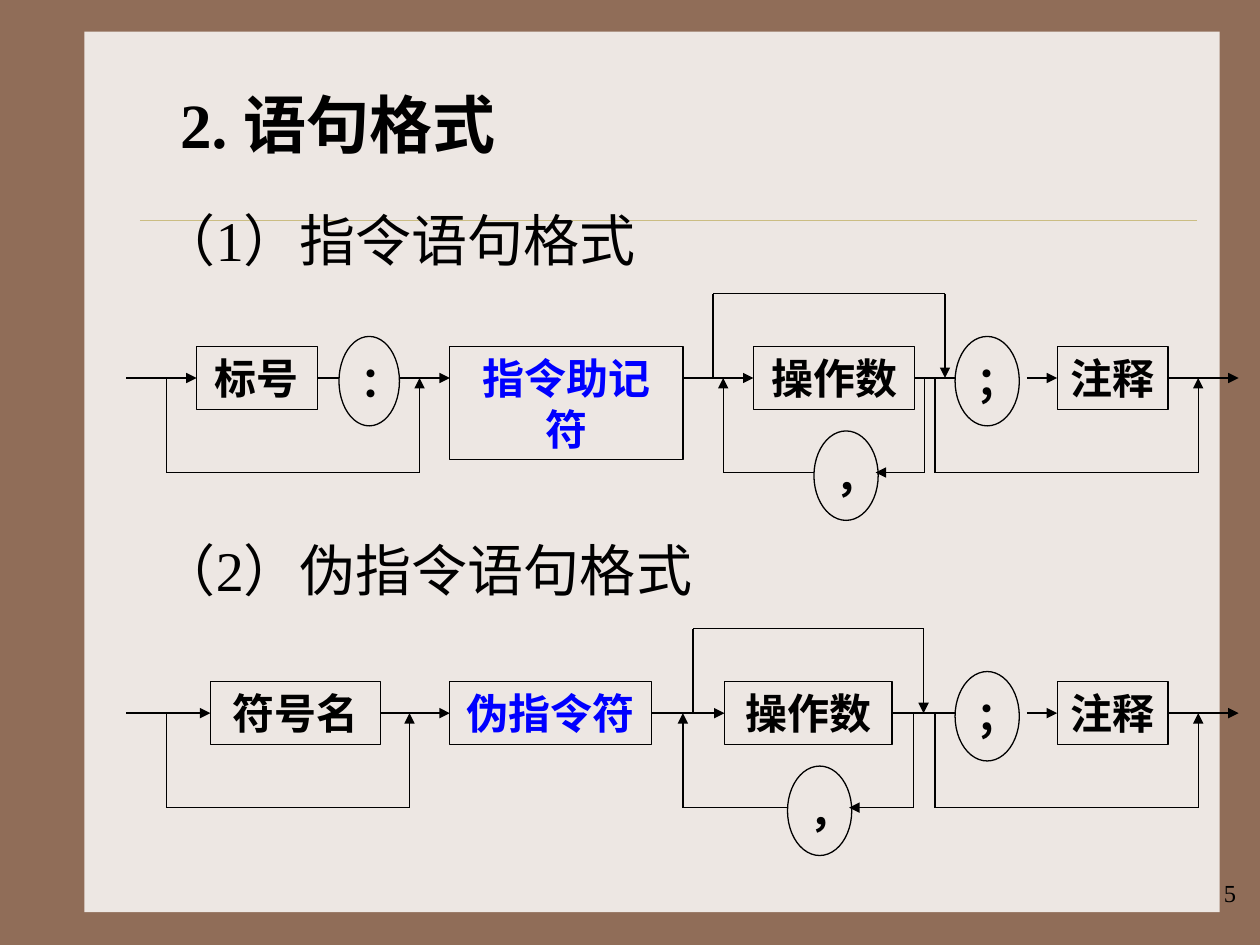
from itertools import pairwise

from pptx import Presentation, util as u
from pptx.dml import color
from pptx.enum import shapes, text
from pptx.oxml import ns, xmlchemy as xc

CELL = u.Inches(0.1)
BOX = shapes.MSO_SHAPE.RECTANGLE
OVAL = shapes.MSO_SHAPE.OVAL
LEFT, MID, RIGHT = text.PP_ALIGN.LEFT, text.PP_ALIGN.CENTER, text.PP_ALIGN.RIGHT


def grid(*vals):
    """Turn columns and rows of the 100 by 75 grid into lengths."""
    return [u.Emu(round(v * CELL)) for v in vals]


def rgb(code):
    """Return the colour for a hex string."""
    return color.RGBColor.from_string(code)


def write(item, words, size=24, bold=False, ink="000000", align=LEFT,
          anchor=text.MSO_ANCHOR.TOP):
    """Put formatted text into a shape."""
    frame = item.text_frame
    frame.word_wrap = True
    frame.auto_size = text.MSO_AUTO_SIZE.NONE
    frame.vertical_anchor = anchor
    para = frame.paragraphs[0]
    para.alignment = align
    run = para.add_run()
    run.text = words
    font = run.font
    font.name, font.size, font.bold = "Times New Roman", u.Pt(size), bold
    font.color.rgb = rgb(ink)


def label(slide, area, words, **style):
    """Add a plain text box."""
    write(slide.shapes.add_textbox(*grid(*area)), words, **style)


def node(slide, kind, area, words, ink="000000"):
    """Add an outlined box or oval of the syntax chart."""
    item = slide.shapes.add_shape(kind, *grid(*area))
    item.shadow.inherit = False
    item.fill.background()
    item.line.color.rgb = rgb("000000")
    item.line.width = u.Pt(0.75)
    write(item, words, bold=True, ink=ink, align=MID)
    return item


def line(slide, start, end, arrow=False, ink="000000", width=0.75):
    """Add a straight line, with an arrowhead at its end if asked."""
    wire = slide.shapes.add_connector(
        shapes.MSO_CONNECTOR.STRAIGHT, *grid(*start, *end))
    wire.line.color.rgb = rgb(ink)
    wire.line.width = u.Pt(width)
    if arrow:
        tip = xc.OxmlElement("a:tailEnd")
        tip.set("type", "triangle")
        wire.line._get_or_add_ln().append(tip)
    props = wire._element.find(ns.qn("p:spPr"))
    props.append(xc.OxmlElement("a:effectLst"))
    return wire


def route(slide, *points, arrow=True):
    """Draw a bent path whose last leg may carry the arrowhead."""
    legs = list(pairwise(points))
    for i, (start, end) in enumerate(legs, 1):
        line(slide, start, end, arrow and i == len(legs))


def level(item, row):
    """Tell whether the middle of a shape lies on the row."""
    return abs(item.top + item.height / 2 - row * CELL) < CELL / 20


def flow(slide, row, start, end, arrow=True):
    """Join two shapes or columns along a row."""
    free = isinstance(start, (int, float)), isinstance(end, (int, float))
    x1 = start if free[0] else (start.left + start.width) / CELL
    x2 = end if free[1] else end.left / CELL
    wire = line(slide, (x1, row), (x2, row), arrow)
    if not free[0] and level(start, row):
        wire.begin_connect(start, 3)
    if not free[1] and level(end, row):
        wire.end_connect(end, 1)


def chart(slide, row, name, code, args, comma, back, skip, loop, colon=None):
    """Draw one syntax chart around its middle row."""
    high, low = row - 6.7, row + 7.5

    def box(x, wide, words, tall=5, ink="000000"):
        """Add a box on the middle row."""
        return node(slide, BOX, (x, row - 2.5, wide, tall), words, ink)

    def oval(x, wide, words, drop=-3.3):
        """Add an oval near the middle row."""
        return node(slide, OVAL, (x, row + drop, wide, 7.1), words)

    first, verb, item = box(*name), box(*code, ink="0000FF"), box(*args)
    note = box(83.9, 8.8, "注释")
    semi = oval(75.8, 5.1, "；")
    oval(comma, 5.1, "，", 4.2)

    flow(slide, row, 10, first)
    source = first
    if colon:
        source = oval(colon, 4.8, "：")
        flow(slide, row, first, source, False)
    flow(slide, row, source, verb)
    flow(slide, row, verb, item)
    flow(slide, row, item, semi, False)
    flow(slide, row, 81.5, note)
    flow(slide, row, note, 98.3)

    for x1, x2, turn in ((13.2, back, low), (*skip, high), (74.2, 95.1, low)):
        route(slide, (x1, row), (x1, turn), (x2, turn), (x2, row))
    out, home = loop
    route(slide, (out, row), (out, low), (comma + 4.9, low))
    route(slide, (comma, low), (home, low), (home, row))


def main():
    """Build the slide and save it."""
    deck = Presentation()
    deck.slide_width, deck.slide_height = grid(100, 75)
    slide = deck.slides.add_slide(deck.slide_layouts[5])
    back = slide.background.fill
    back.solid()
    back.fore_color.rgb = rgb("906D58")

    panel = slide.shapes.add_shape(BOX, *grid(6.7, 2.5, 90.1, 69.9))
    panel.shadow.inherit = False
    panel.fill.solid()
    panel.fill.fore_color.rgb = rgb("EDE7E3")
    panel.line.fill.background()
    line(slide, (11.1, 17.5), (95, 17.5), ink="CBBD83", width=0.25)

    title = slide.shapes.title
    title.left, title.top, title.width, title.height = grid(13.3, 6.3, 34.2, 7)
    write(title, "2. 语句格式", size=36, bold=True,
          anchor=text.MSO_ANCHOR.MIDDLE)
    slide.shapes._spTree.append(title._element)

    heads = (15.8, "（1）指令语句格式"), (42, "（2）伪指令语句格式")
    for top, words in heads:
        label(slide, (11.7, top, 46.7, 6.4), words, size=32)
    label(slide, (78.3, 69.2, 20.8, 5), "5", size=14, align=RIGHT)

    chart(slide, 30, (15.6, 9.6, "标号"), (35.7, 18.5, "指令助记符", 9),
          (59.8, 12.8, "操作数"), comma=64.6, back=33.3,
          skip=(56.6, 75), loop=(73.4, 57.4), colon=26.9)
    chart(slide, 56.6, (16.7, 13.5, "符号名"), (35.7, 16, "伪指令符"),
          (57.5, 13.3, "操作数"), comma=62.5, back=32.5,
          skip=(55, 73.3), loop=(72.5, 54.2))
    deck.save("out.pptx")


if __name__ == "__main__":
    main()
